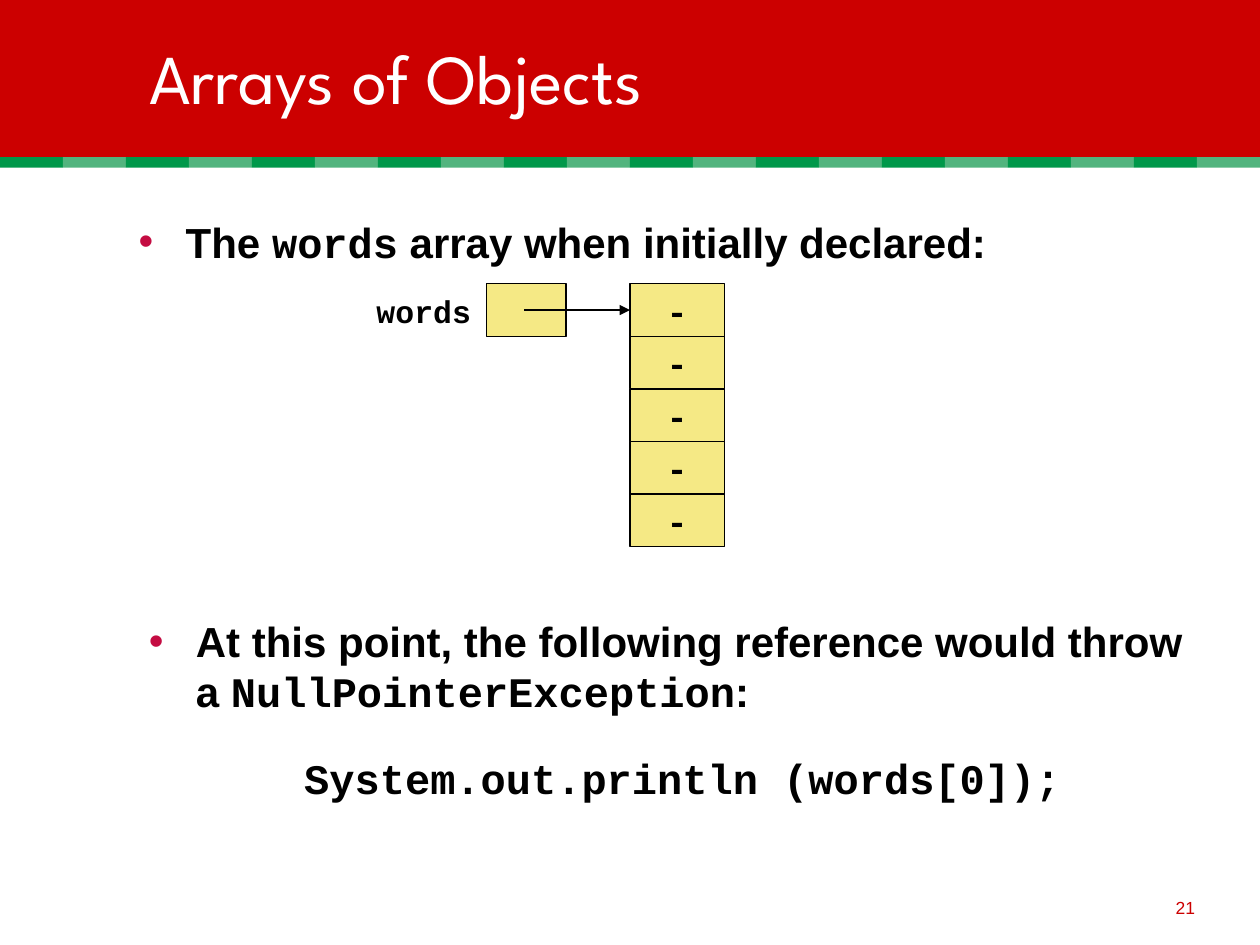
from dataclasses import dataclass
from typing import NamedTuple

from lxml.etree import SubElement
from pptx import Presentation
from pptx.dml.color import RGBColor
from pptx.enum.shapes import MSO_CONNECTOR, MSO_SHAPE
from pptx.enum.text import MSO_ANCHOR as Anchor, MSO_AUTO_SIZE as AutoSize, PP_ALIGN as Align
from pptx.oxml.ns import qn
from pptx.util import Cm, Pt


@dataclass(frozen=True)
class Theme:
    banner: str = "CC0000"
    stripes: tuple[str, str] = ("00984A", "52B47E")
    cell: str = "F5E985"
    ink: str = "000000"
    title_ink: str = "FFFFFF"
    bullet: str = "C40C42"
    title_font: str = "League Spartan"
    text_font: str = "Arial"
    code_font: str = "Courier New"
    title_size: int = 40
    body_size: int = 24
    cell_size: int = 20
    label_size: int = 18
    number_size: int = 10
    line_width: float = 0.75


class Box(NamedTuple):
    left: float
    top: float
    width: float
    height: float

    def lengths(self) -> tuple[Cm, ...]:
        return tuple(Cm(value) for value in self)


class Piece(NamedTuple):
    text: str
    font: str


THEME = Theme()
STRIPE_COUNT = 20
CELL_COUNT = 5
CELL_HEIGHT = 1.06
ARRAY_TOP = 5.72

INTRO = [
    Piece("The ", THEME.text_font),
    Piece("words", THEME.code_font),
    Piece(" array when initially declared:", THEME.text_font),
]
WARNING = [
    Piece("At this point, the following reference would throw a ", THEME.text_font),
    Piece("NullPointerException", THEME.code_font),
    Piece(":", THEME.text_font),
]


def style(paragraph, font: str | None, size: int, color: str, bold: bool = True, align=Align.LEFT) -> None:
    paragraph.alignment = align
    paragraph.space_before = Pt(0)
    paragraph.font.size = Pt(size)
    paragraph.font.bold = bold
    paragraph.font.color.rgb = RGBColor.from_string(color)
    if font:
        paragraph.font.name = font


def add_rectangle(slide, box: Box, fill: str, outlined: bool = False):
    shape = slide.shapes.add_shape(MSO_SHAPE.RECTANGLE, *box.lengths())
    shape.shadow.inherit = False
    shape.fill.solid()
    shape.fill.fore_color.rgb = RGBColor.from_string(fill)
    if outlined:
        shape.line.color.rgb = RGBColor.from_string(THEME.ink)
        shape.line.width = Pt(THEME.line_width)
    else:
        shape.line.fill.background()
    return shape


def add_text(slide, box: Box, wrap: bool = True):
    frame = slide.shapes.add_textbox(*box.lengths()).text_frame
    frame.word_wrap = wrap
    return frame


def place(placeholder, box: Box, anchor):
    placeholder.left, placeholder.top, placeholder.width, placeholder.height = box.lengths()
    frame = placeholder.text_frame
    frame.auto_size = AutoSize.NONE
    frame.word_wrap = True
    frame.vertical_anchor = anchor
    return frame


def write_bullet(paragraph, pieces: list[Piece]) -> None:
    properties = paragraph._p.get_or_add_pPr()
    properties.set("marL", str(Cm(0.95)))
    properties.set("indent", str(-Cm(0.95)))
    SubElement(SubElement(properties, qn("a:buClr")), qn("a:srgbClr"), val=THEME.bullet)
    SubElement(properties, qn("a:buFont"), typeface=THEME.text_font)
    SubElement(properties, qn("a:buChar"), char="•")
    style(paragraph, None, THEME.body_size, THEME.ink)
    for piece in pieces:
        run = paragraph.add_run()
        run.text = piece.text
        run.font.name = piece.font


def add_cell(slide, row: int):
    box = Box(12.7, ARRAY_TOP + row * CELL_HEIGHT, 1.9, CELL_HEIGHT)
    cell = add_rectangle(slide, box, THEME.cell, outlined=True)
    frame = cell.text_frame
    frame.word_wrap = False
    frame.vertical_anchor = Anchor.MIDDLE
    paragraph = frame.paragraphs[0]
    paragraph.text = "-"
    style(paragraph, THEME.code_font, THEME.cell_size, THEME.ink, align=Align.CENTER)
    return cell


def add_arrow(slide, left: float, target) -> None:
    middle = target.top + target.height // 2
    arrow = slide.shapes.add_connector(MSO_CONNECTOR.STRAIGHT, Cm(left), middle, target.left, middle)
    arrow.end_connect(target, 1)
    arrow.line.color.rgb = RGBColor.from_string(THEME.ink)
    arrow.line.width = Pt(THEME.line_width)
    SubElement(arrow.line._get_or_add_ln(), qn("a:tailEnd"), type="triangle")
    SubElement(arrow._element.spPr, qn("a:effectLst"))


def add_banner(slide, width: float) -> None:
    add_rectangle(slide, Box(0, 0, width, 3.17), THEME.banner)
    stripe_width = width / STRIPE_COUNT
    for index in range(STRIPE_COUNT):
        box = Box(index * stripe_width, 3.17, stripe_width, 0.21)
        add_rectangle(slide, box, THEME.stripes[index % 2])


def add_array(slide) -> None:
    add_rectangle(slide, Box(9.81, ARRAY_TOP, 1.6, CELL_HEIGHT), THEME.cell, outlined=True)
    label = add_text(slide, Box(7.34, 5.77, 2.41, 1.02), wrap=False).paragraphs[0]
    label.text = "words"
    style(label, THEME.code_font, THEME.label_size, THEME.ink)
    cells = [add_cell(slide, row) for row in range(CELL_COUNT)]
    add_arrow(slide, 10.57, cells[0])


def main() -> None:
    presentation = Presentation()
    presentation.slide_width, presentation.slide_height = Cm(25.4), Cm(19.05)
    slide = presentation.slides.add_slide(presentation.slide_layouts[1])
    title, body = slide.placeholders
    add_banner(slide, 25.4)
    for placeholder in (title, body):
        slide.shapes._spTree.append(placeholder._element)

    heading = place(title, Box(2.75, 0.6, 22.01, 1.9), Anchor.MIDDLE).paragraphs[0]
    heading.text = "Arrays of Objects"
    style(heading, THEME.title_font, THEME.title_size, THEME.title_ink, bold=False)

    intro = place(body, Box(2.54, 4.23, 22.01, 1.69), Anchor.TOP)
    write_bullet(intro.paragraphs[0], INTRO)
    add_array(slide)

    warning = add_text(slide, Box(2.75, 12.28, 22.01, 4.66))
    write_bullet(warning.paragraphs[0], WARNING)
    code = warning.add_paragraph()
    code.text = "System.out.println (words[0]);"
    style(code, THEME.code_font, THEME.body_size, THEME.ink, align=Align.CENTER)
    code.space_before = Pt(21)

    footer = add_text(slide, Box(19.05, 17.57, 5.29, 1.06))
    footer.vertical_anchor = Anchor.BOTTOM
    number = footer.paragraphs[0]
    number.text = "21"
    style(number, THEME.text_font, THEME.number_size, THEME.banner, bold=False, align=Align.RIGHT)

    presentation.save("out.pptx")


if __name__ == "__main__":
    main()
